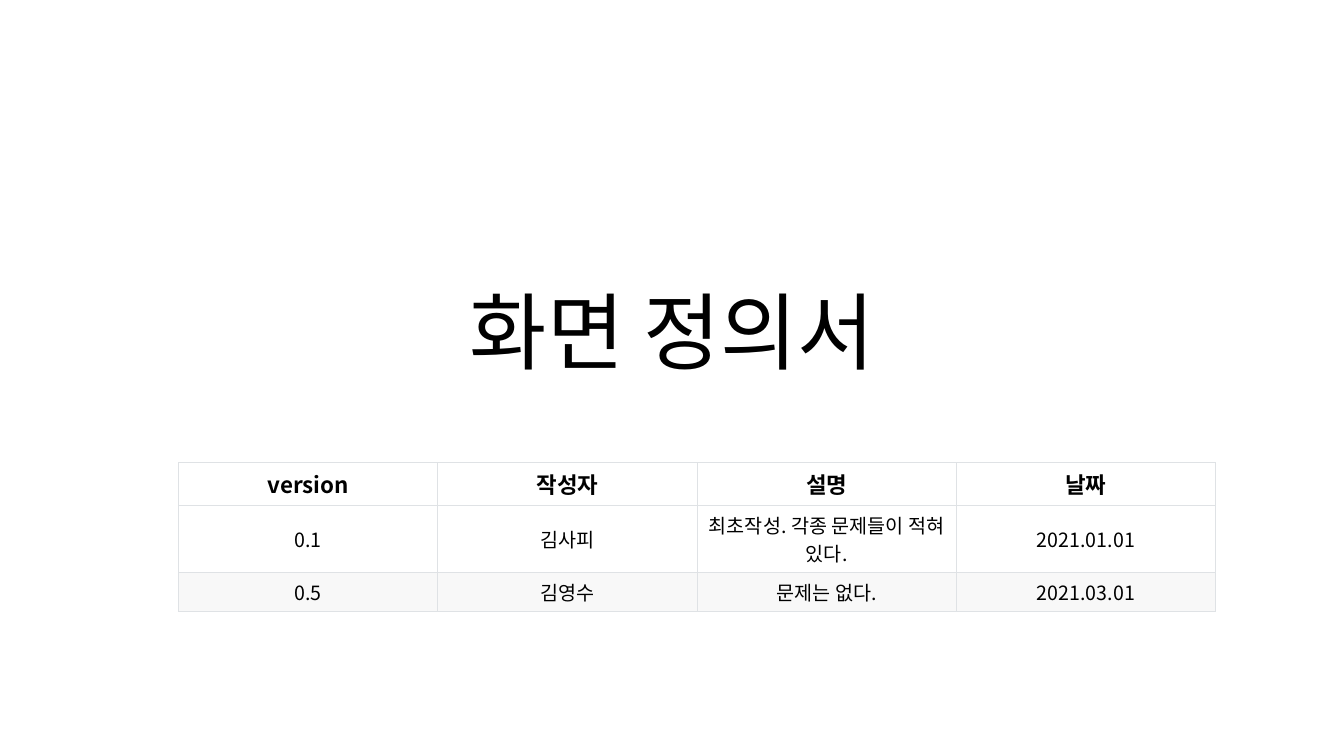
from lxml.etree import SubElement
from pptx import Presentation
from pptx.dml.color import RGBColor
from pptx.enum.text import MSO_ANCHOR as Anchor, MSO_AUTO_SIZE as AutoSize, PP_ALIGN as Align
from pptx.oxml.ns import qn
from pptx.util import Inches, Pt

# Content
TITLE = "화면 정의서"
HISTORY = [
    ("version", "작성자", "설명", "날짜"),
    ("0.1", "김사피", "최초작성. 각종 문제들이 적혀 있다.", "2021.01.01"),
    ("0.5", "김영수", "문제는 없다.", "2021.03.01"),
]

# Format
FONT = "Noto Sans CJK KR"
BORDER = "DFE2E5"
TITLE_FONT = {"size": Pt(60), "bold": False}
HEADER_FONT = {"size": Pt(16), "bold": True}
ENTRY_FONT = {"size": Pt(14), "bold": False}
CELL_FORMAT = {
    "vertical_anchor": Anchor.MIDDLE,
    "margin_left": Inches(0.11), "margin_right": Inches(0.11),
    "margin_top": Inches(0.05), "margin_bottom": Inches(0.05),
}
TITLE_BOX = {"left": 1.67, "top": 1.23, "width": 10, "height": 2.61}
COLUMN_WIDTH = 2.5725
ROW_FORMATS = [  # height, fill, font
    (0.42, "FFFFFF", HEADER_FONT),
    (0.67, "FFFFFF", ENTRY_FONT),
    (0.38, "F8F8F8", ENTRY_FONT),
]


def color(hex_value):
    return RGBColor.from_string(hex_value)


def write(frame, text, font_format):
    """Put one centred line of text in a frame."""
    paragraph = frame.paragraphs[0]
    paragraph.alignment = Align.CENTER
    run = paragraph.add_run()
    run.text = text
    run.font.color.rgb = color("000000")
    run.font.name = FONT
    for name, value in font_format.items():
        setattr(run.font, name, value)
    # East Asian typeface for the Korean text
    SubElement(run.font._element, qn("a:ea"), typeface=FONT)
    return paragraph


def add_borders(cell):
    properties = cell._tc.get_or_add_tcPr()
    for side in ("lnL", "lnR", "lnT", "lnB"):
        line = SubElement(properties, qn(f"a:{side}"), w=str(Pt(0.6)))
        fill = SubElement(line, qn("a:solidFill"))
        SubElement(fill, qn("a:srgbClr"), val=BORDER)


def main():
    deck = Presentation()
    deck.slide_width, deck.slide_height = Inches(13.333), Inches(7.5)
    slide = deck.slides.add_slide(deck.slide_layouts[0])
    subtitle = slide.placeholders[1]._element
    subtitle.getparent().remove(subtitle)

    # Title
    title = slide.shapes.title
    for name, value in TITLE_BOX.items():
        setattr(title, name, Inches(value))
    title.text_frame.vertical_anchor = Anchor.BOTTOM
    title.text_frame.auto_size = AutoSize.NONE
    write(title.text_frame, TITLE, TITLE_FONT).line_spacing = 0.9

    # Version history
    columns = len(HISTORY[0])
    history = slide.shapes.add_table(
        len(HISTORY), columns, Inches(1.77), Inches(4.59),
        Inches(COLUMN_WIDTH * columns), Inches(sum(row[0] for row in ROW_FORMATS)),
    ).table
    for column in history.columns:
        column.width = Inches(COLUMN_WIDTH)
    for row, entry, (height, fill, font_format) in zip(history.rows, HISTORY, ROW_FORMATS):
        row.height = Inches(height)
        for cell, text in zip(row.cells, entry):
            for name, value in CELL_FORMAT.items():
                setattr(cell, name, value)
            add_borders(cell)
            cell.fill.solid()
            cell.fill.fore_color.rgb = color(fill)
            write(cell.text_frame, text, font_format)

    deck.save("out.pptx")


if __name__ == "__main__":
    main()
